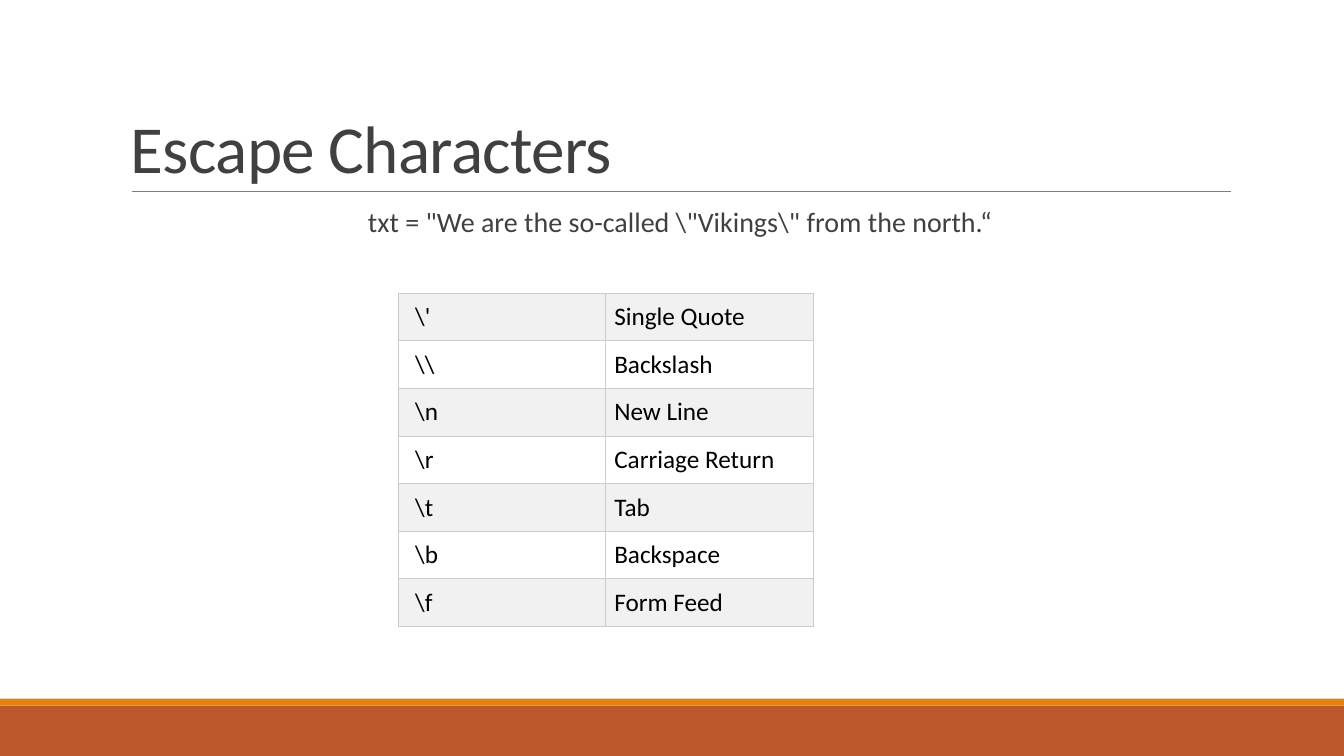
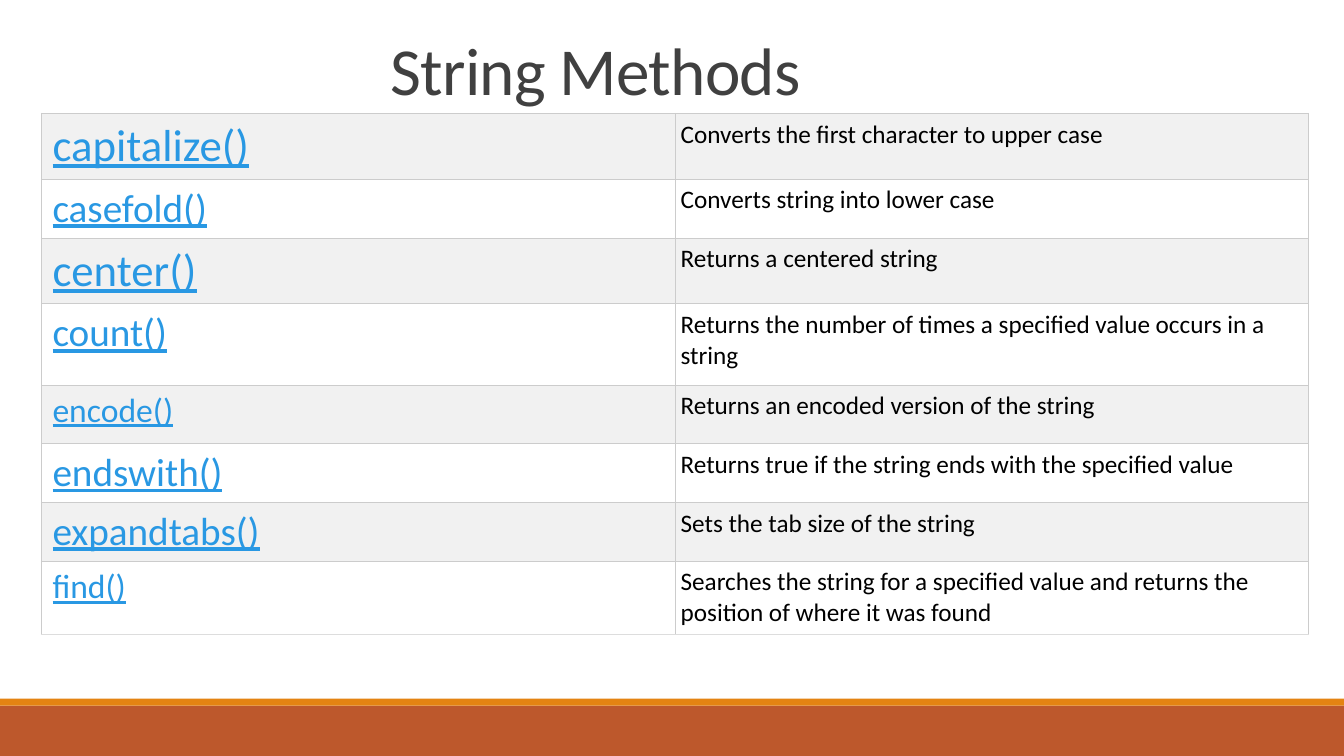
from lxml import etree
from pptx import Presentation
from pptx.dml.color import RGBColor
from pptx.enum import shapes, text
from pptx.oxml.ns import qn
from pptx.util import Pt

HUE = {"band": "BD582C", "strip": "E48312", "rule": "808080", "title": "404040",
       "body": "000000", "link": "2998E3", "odd": "F1F1F1", "even": "FFFFFF",
       "edge": "CCCCCC", "foot": "DDDDDD"}
FACE = "Calibri"
WIDE, HIGH = 960, 540
ALIGN = text.PP_ALIGN


def write(frame, words, size, hue, **looks):
    """Fill a text frame with one run; looks are extra paragraph formats."""
    frame.word_wrap = True
    para = frame.paragraphs[0]
    for name, value in looks.items():
        setattr(para, name, value)
    run = para.add_run()
    run.text = words
    for name, value in {"name": FACE, "size": Pt(size), "underline": hue == "link"}.items():
        setattr(run.font, name, value)
    run.font.color.rgb = RGBColor.from_string(HUE[hue])
    return run


def edge(cell, hues):
    """Draw the cell's left, right, top and bottom borders in that order."""
    props = cell._tc.get_or_add_tcPr()
    for place, (side, hue) in enumerate(zip("LRTB", hues)):
        line = etree.Element(qn(f"a:ln{side}"), w=str(Pt(0.75)))
        fill = etree.SubElement(line, qn("a:solidFill"))
        etree.SubElement(fill, qn("a:srgbClr"), val=HUE[hue])
        props.insert(place, line)


escapes = [
    (r"\'", "Single Quote"),
    (r"\\", "Backslash"),
    (r"\n", "New Line"),
    (r"\r", "Carriage Return"),
    (r"\t", "Tab"),
    (r"\b", "Backspace"),
    (r"\f", "Form Feed"),
]
methods = [
    ("capitalize()", "Converts the first character to upper case"),
    ("casefold()", "Converts string into lower case"),
    ("center()", "Returns a centered string"),
    ("count()", "Returns the number of times a specified value occurs in a string"),
    ("encode()", "Returns an encoded version of the string"),
    ("endswith()", "Returns true if the string ends with the specified value"),
    ("expandtabs()", "Sets the tab size of the string"),
    ("find()", "Searches the string for a specified value and returns the "
               "position of where it was found"),
]
pages = [
    {"title": "Escape Characters", "spot": (86.4, 22.5), "align": ALIGN.LEFT,
     "rows": escapes, "at": (284.5, 209.5), "col": 148.3, "tall": [34] * 7,
     "sizes": [18] * 7, "hue": "body", "pad": 6, "inset": 12, "foot": "edge"},
    {"title": "String Methods", "spot": (29.5, -33), "align": ALIGN.CENTER,
     "rows": methods, "at": (29.5, 81), "col": 452.7,
     "tall": [47, 42, 47, 58, 42, 42, 42, 52],
     "sizes": [32, 28, 32, 28, 24, 28, 28, 24],
     "hue": "link", "pad": 4, "inset": 8, "foot": "foot"},
]

deck = Presentation()
deck.slide_width, deck.slide_height = Pt(WIDE), Pt(HIGH)

for page in pages:
    slide = deck.slides.add_slide(deck.slide_layouts[6])

    for hue, top, tall in (("band", 504, 36), ("strip", 499, 5)):
        bar = slide.shapes.add_shape(shapes.MSO_SHAPE.RECTANGLE,
                                     0, Pt(top), Pt(WIDE), Pt(tall))
        bar.shadow.inherit = False
        bar.fill.solid()
        bar.fill.fore_color.rgb = RGBColor.from_string(HUE[hue])
        bar.line.fill.background()

    left, top = page["spot"]
    box = slide.shapes.add_textbox(Pt(left), Pt(top), Pt(792), Pt(114.5))
    box.text_frame.vertical_anchor = text.MSO_ANCHOR.BOTTOM
    run = write(box.text_frame, page["title"], 48, "title",
                alignment=page["align"], line_spacing=0.85)
    run.font._element.set("spc", "-50")

    if page["rows"] is escapes:
        rule = slide.shapes.add_connector(shapes.MSO_CONNECTOR.STRAIGHT,
                                          Pt(94.3), Pt(136.8), Pt(879), Pt(136.8))
        rule.line.width = Pt(0.5)
        rule.line.color.rgb = RGBColor.from_string(HUE["rule"])
        etree.SubElement(rule._element.spPr, qn("a:effectLst"))

        box = slide.shapes.add_textbox(Pt(86.4), Pt(145.4), Pt(792), Pt(316.8))
        frame = box.text_frame
        frame.margin_left, frame.margin_right = Pt(7.2), 0
        write(frame, r'txt = "We are the so-called \"Vikings\" from the north.“', 20, "title",
              alignment=ALIGN.CENTER, line_spacing=0.9)

    left, top = page["at"]
    rows, tall = page["rows"], page["tall"]
    grid = slide.shapes.add_table(len(rows), 2, Pt(left), Pt(top),
                                  Pt(2 * page["col"]), Pt(sum(tall))).table
    grid.first_row = grid.horz_banding = False
    for col in grid.columns:
        col.width = Pt(page["col"])
    for r, row in enumerate(rows):
        grid.rows[r].height = Pt(tall[r])
        base = page["foot"] if r == len(rows) - 1 else "edge"
        looks = ((page["sizes"][r], page["hue"], page["inset"]), (18, "body", page["pad"]))
        for c, (size, hue, inset) in enumerate(looks):
            cell = grid.cell(r, c)
            for side in ("left", "right", "top", "bottom"):
                setattr(cell, f"margin_{side}", Pt(inset if side == "left" else page["pad"]))
            cell.fill.solid()
            cell.fill.fore_color.rgb = RGBColor.from_string(HUE["even" if r % 2 else "odd"])
            edge(cell, ("edge", "edge", "edge", base))
            write(cell.text_frame, row[c], size, hue)

deck.save("out.pptx")
